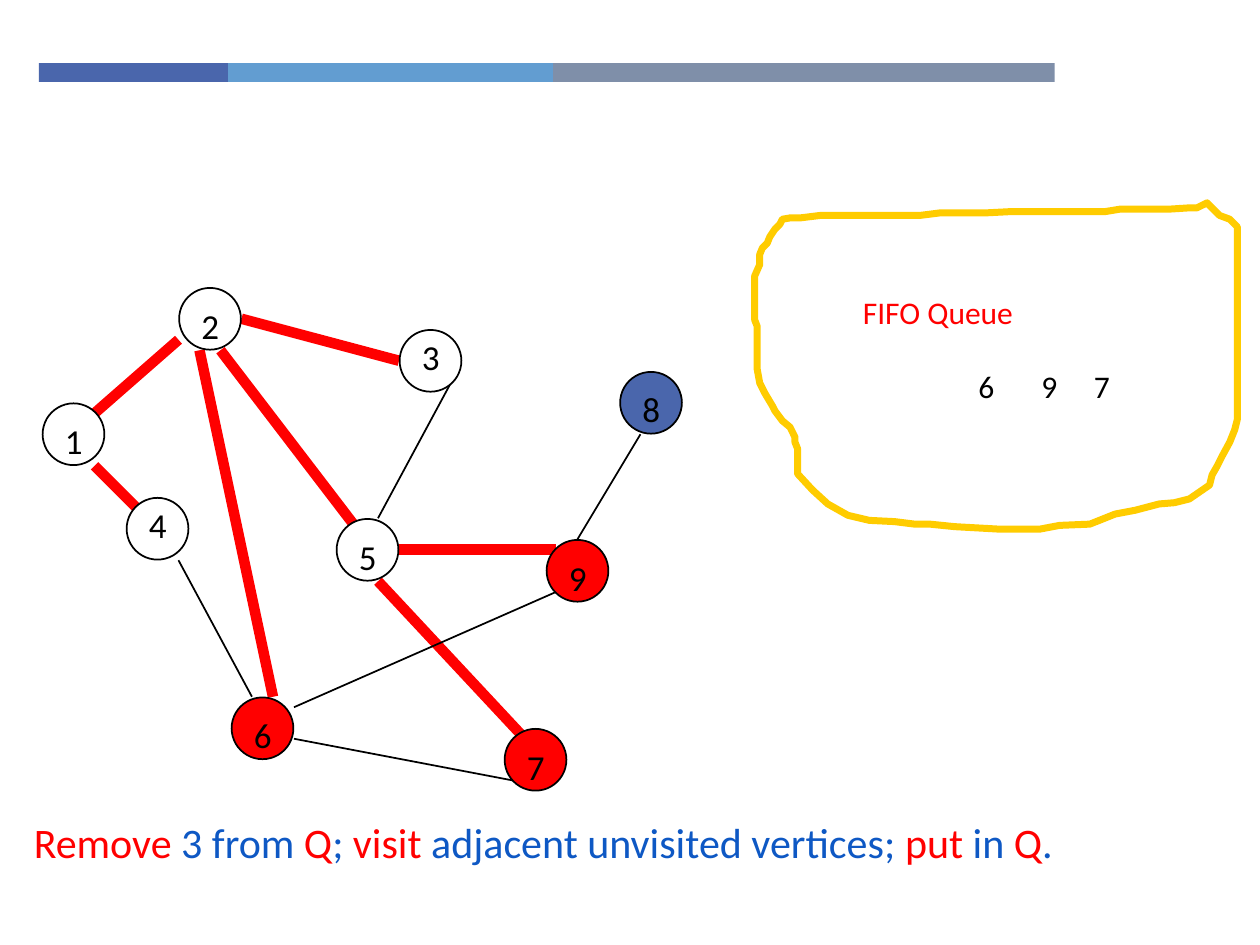
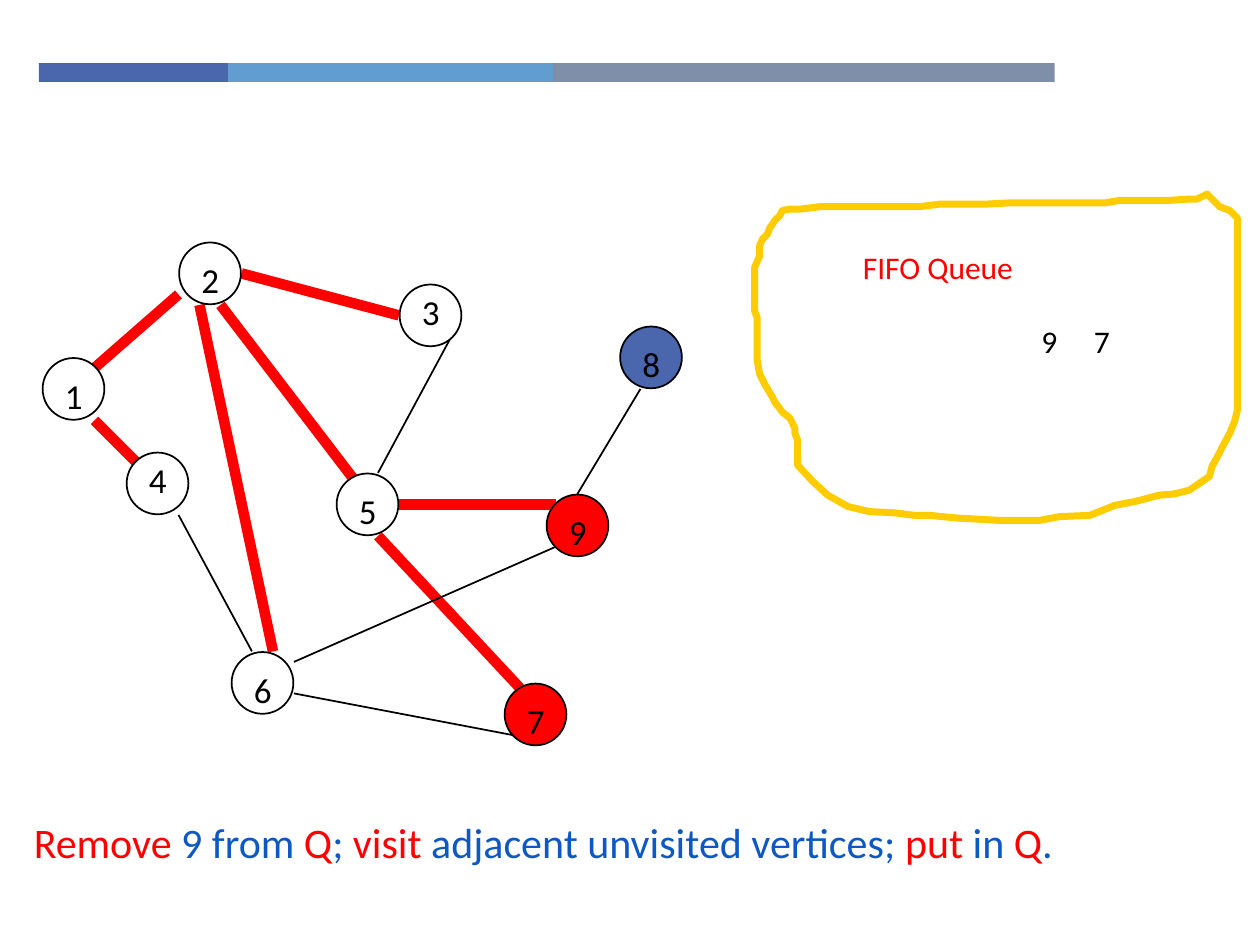
from collections import namedtuple
from dataclasses import dataclass

import pptx
import pptx.dml.color
import pptx.enum.shapes
import pptx.enum.text
import pptx.oxml.ns
import pptx.util
from lxml import etree

Inches = pptx.util.Inches
Pt = pptx.util.Pt
SHAPE = pptx.enum.shapes.MSO_SHAPE
Box = namedtuple("Box", "left top width height")


@dataclass(frozen=True)
class Theme:
    font: str = "Calibri"
    ink: str = "000000"
    paper: str = "FFFFFF"
    red: str = "FF0000"
    blue: str = "0E58C4"
    unvisited: str = "4A66AC"
    queue_outline: str = "FFCC00"
    band: tuple = ("4A66AC", "629DD1", "7F8FA9")
    vertex_size: int = 20
    queue_size: int = 18
    caption_size: int = 24
    thin: int = 1
    tree: int = 6
    outline: int = 4


THEME = Theme()
SLIDE = Box(0, 0, 10, 7.5)
CELL = 1 / 12  # side of a grid cell in inches
VERTEX_CELLS = 6
VERTEX_GAP = 0.01

BAND = Box(0.31, 0.5, 8.06, 0.15)
BAND_WIDTHS = (1.5, 2.58, 3.98)

# vertex: column, row, rows from the circle's top to its number
VERTICES = {
    1: (0, 11, 1), 2: (13, 0, 1), 3: (34, 4, 0),
    4: (8, 20, 0), 5: (28, 22, 1), 6: (18, 39, 1),
    7: (44, 42, 1), 8: (55, 8, 1), 9: (48, 24, 1),
}
# edges as start column, start row, end column, end row
TREE_EDGES = (
    (13, 5, 5, 12), (17, 6, 30, 23), (5, 17, 9, 21), (32, 28, 46, 43),
    (34, 25, 49, 25), (19, 3, 34, 7), (15, 6, 22, 39),
)
OTHER_EDGES = (
    (13, 26, 20, 39), (24, 43, 45, 47), (39, 9, 32, 22),
    (57, 14, 51, 24), (24, 40, 49, 29),
)
QUEUE_COLUMNS = {6: 88, 9: 94, 7: 99}
QUEUE_TITLE_COLUMN = 77
QUEUE_ROW = 7

# hand-drawn outline, in inches from the corner of its box
QUEUE_OUTLINE = (
    (3.59, 0), (3.51, 0.04), (3.45, 0.04), (3.29, 0.05), (2.9, 0.05),
    (2.78, 0.07), (2.03, 0.07), (1.83, 0.08), (1.47, 0.08), (1.31, 0.1),
    (0.52, 0.1), (0.36, 0.12), (0.28, 0.12), (0.22, 0.13), (0.2, 0.17),
    (0.16, 0.21), (0.12, 0.27), (0.1, 0.32), (0.06, 0.36), (0.04, 0.41),
    (0.04, 0.49), (0, 0.58), (0, 0.93), (0.02, 0.98), (0.02, 1.32),
    (0.04, 1.43), (0.08, 1.51), (0.14, 1.61), (0.16, 1.65), (0.22, 1.73),
    (0.28, 1.78), (0.32, 1.86), (0.32, 1.9), (0.34, 1.95), (0.34, 2.15),
    (0.46, 2.28), (0.58, 2.39), (0.74, 2.48), (0.91, 2.52), (1.11, 2.53),
    (1.27, 2.55), (1.39, 2.55), (1.59, 2.57), (1.95, 2.59), (2.26, 2.59),
    (2.42, 2.56), (2.66, 2.55), (2.86, 2.47), (3.02, 2.44), (3.21, 2.39),
    (3.33, 2.38), (3.45, 2.35), (3.61, 2.24), (3.63, 2.16), (3.67, 2.09),
    (3.71, 2.01), (3.77, 1.9), (3.81, 1.8), (3.83, 1.72), (3.83, 0.19),
    (3.77, 0.13), (3.69, 0.1), (3.59, 0),
)

STEPS = (
    {"removed": 3, "queue": (6, 9, 7), "top": 2.28, "outline_top": 1.61},
    {"removed": 9, "queue": (9, 7), "top": 1.92, "outline_top": 1.54},
)


def rgb(value):
    return pptx.dml.color.RGBColor.from_string(value)


def inches(box):
    return [Inches(length) for length in box]


def grid_box(area, column, row, columns, rows):
    """Box of grid cells counted from the corner of the area."""
    return Box(area.left + column * CELL, area.top + row * CELL,
               columns * CELL, rows * CELL)


def set_line(line, color, width):
    line.color.rgb = rgb(color)
    line.width = Pt(width)


def add_filled(slide, preset, box, fill):
    shape = slide.shapes.add_shape(preset, *inches(box))
    shape.shadow.inherit = False
    shape.fill.solid()
    shape.fill.fore_color.rgb = rgb(fill)
    return shape


def add_text(slide, box, runs, size, grow=True):
    """Text box with one paragraph made of (text, colour) runs."""
    text_box = slide.shapes.add_textbox(*inches(box))
    frame = text_box.text_frame
    frame.word_wrap = True
    if grow:
        frame.auto_size = pptx.enum.text.MSO_AUTO_SIZE.SHAPE_TO_FIT_TEXT
    for text, color in runs:
        run = frame.paragraphs[0].add_run()
        run.text = text
        for name, value in {"name": THEME.font, "size": Pt(size)}.items():
            setattr(run.font, name, value)
        run.font.color.rgb = rgb(color)
    return frame.paragraphs[0]


def add_edge(slide, area, edge, color, width):
    ends = [Inches(start + cells * CELL)
            for start, cells in zip((area.left, area.top) * 2, edge)]
    line = slide.shapes.add_connector(
        pptx.enum.shapes.MSO_CONNECTOR.STRAIGHT, *ends)
    set_line(line.line, color, width)
    etree.SubElement(line.element.spPr, pptx.oxml.ns.qn("a:effectLst"))


def add_vertex(slide, area, number, fill):
    column, row, label_drop = VERTICES[number]
    cell = grid_box(area, column, row, VERTEX_CELLS, VERTEX_CELLS)
    circle = Box(cell.left + VERTEX_GAP / 2, cell.top + VERTEX_GAP / 2,
                 cell.width - VERTEX_GAP, cell.height - VERTEX_GAP)
    set_line(add_filled(slide, SHAPE.OVAL, circle, fill).line,
             THEME.ink, THEME.thin)
    add_text(slide, grid_box(area, column + 1, row + label_drop, 3, 5.2),
             [(str(number), THEME.ink)], THEME.vertex_size)


def add_graph(slide, area, queue):
    for edges, color, width in ((TREE_EDGES, THEME.red, THEME.tree),
                                (OTHER_EDGES, THEME.ink, THEME.thin)):
        for edge in edges:
            add_edge(slide, area, edge, color, width)
    fills = {8: THEME.unvisited} | dict.fromkeys(queue, THEME.red)
    for number in VERTICES:
        add_vertex(slide, area, number, fills.get(number, THEME.paper))


def add_queue(slide, area, queue, outline_top):
    points = [(Inches(5.99 + x), Inches(outline_top + y))
              for x, y in QUEUE_OUTLINE]
    builder = slide.shapes.build_freeform(*points[0])
    builder.add_line_segments(points[1:], close=False)
    outline = builder.convert_to_shape()
    outline.shadow.inherit = False
    outline.fill.background()
    set_line(outline.line, THEME.queue_outline, THEME.outline)

    add_text(slide, grid_box(area, QUEUE_TITLE_COLUMN, 0, 37, 10.3),
             [("FIFO Queue", THEME.red)], THEME.queue_size)
    for number in queue:
        add_text(slide,
                 grid_box(area, QUEUE_COLUMNS[number], QUEUE_ROW, 5, 7.5),
                 [(str(number), THEME.ink)], THEME.queue_size)


def add_caption(slide, removed):
    red, blue = THEME.red, THEME.blue
    runs = [("Remove", red), (f" {removed} from ", blue), ("Q", red),
            ("; ", blue), ("visit", red),
            (" adjacent unvisited vertices; ", blue), ("put", red),
            (" in ", blue), ("Q", red), (".", blue)]
    paragraph = add_text(slide, Box(0.17, 6.43, 9.83, 0.78), runs,
                         THEME.caption_size, grow=False)
    hanging = {"marL": Inches(0.5), "indent": -Inches(0.5)}
    for name, value in hanging.items():
        paragraph._p.get_or_add_pPr().set(name, str(value))


def add_master_band(master, slide):
    """Draw the band on the slide, then move it to the master."""
    left = BAND.left
    for index, (width, color) in enumerate(zip(BAND_WIDTHS, THEME.band)):
        part = add_filled(slide, SHAPE.RECTANGLE,
                          Box(left, BAND.top, width, BAND.height), color)
        part.line.fill.background()
        part.element.nvSpPr.cNvPr.set("id", str(100 + index))
        master.shapes.element.append(part.element)
        left += width


def add_step(slide, step):
    area = Box(4 * CELL, step["top"], SLIDE.width - 4 * CELL, 48 * CELL)
    add_graph(slide, area, step["queue"])
    add_queue(slide, area, step["queue"], step["outline_top"])
    add_caption(slide, step["removed"])


def main():
    deck = pptx.Presentation()
    deck.slide_width, deck.slide_height = inches(SLIDE[2:])
    blank = deck.slide_layouts[6]
    slides = [deck.slides.add_slide(blank) for _ in STEPS]
    add_master_band(deck.slide_master, slides[0])
    for slide, step in zip(slides, STEPS):
        add_step(slide, step)
    deck.save("out.pptx")


if __name__ == "__main__":
    main()
